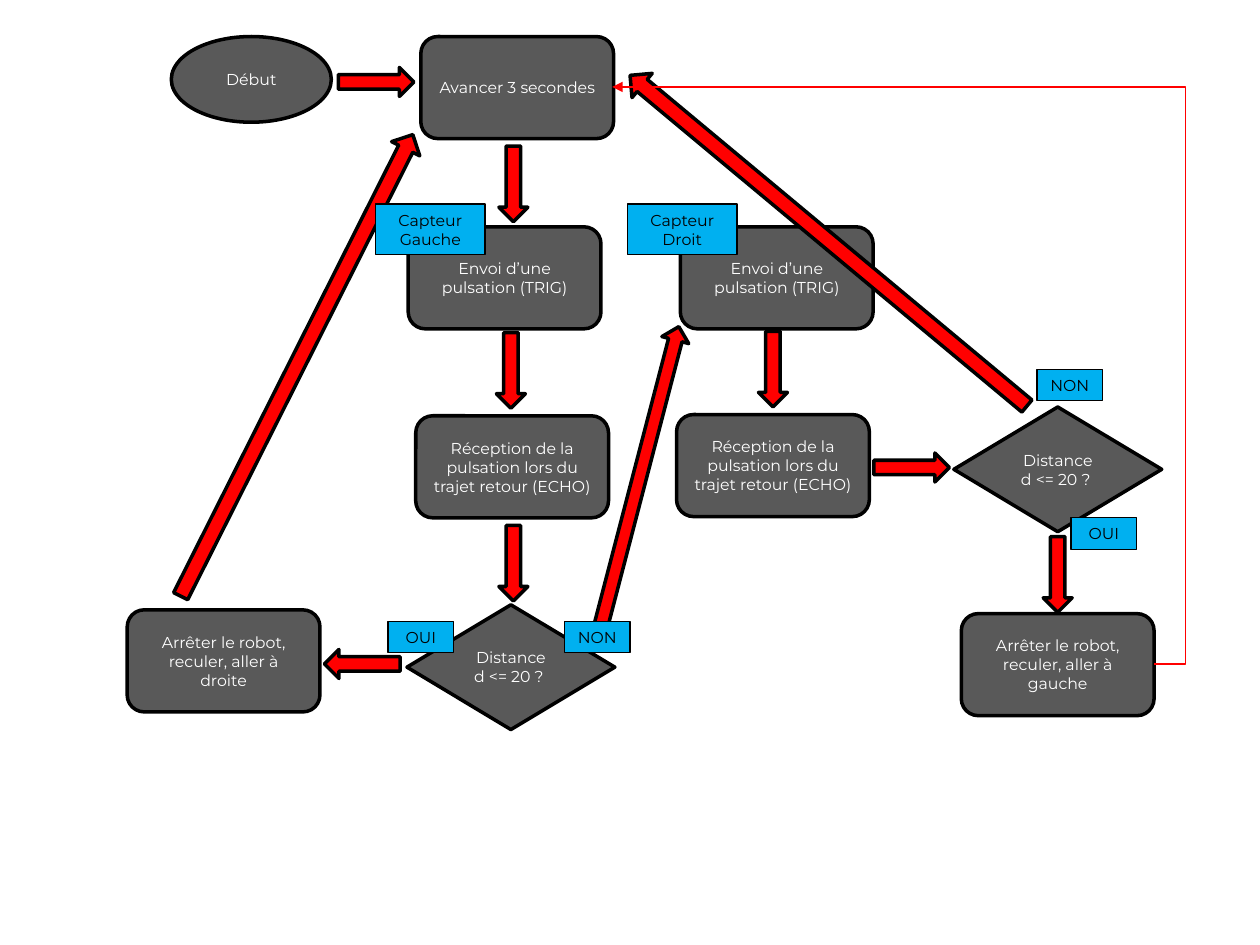
from lxml.etree import SubElement
from pptx import Presentation
from pptx.dml.color import RGBColor
from pptx.enum.shapes import MSO_CONNECTOR, MSO_SHAPE
from pptx.enum.text import MSO_ANCHOR, MSO_AUTO_SIZE, PP_ALIGN
from pptx.oxml.ns import qn
from pptx.util import Inches, Pt

COLORS = {"box": "595959", "arrow": "FF0000", "label": "00B0F0",
          "dark": "000000", "light": "FFFFFF"}


def rgb(name):
    return RGBColor.from_string(COLORS[name])


class Flowchart:
    font = {"name": "Montserrat", "size": Pt(9)}
    frame = {"word_wrap": True, "vertical_anchor": MSO_ANCHOR.MIDDLE}
    sizes = {MSO_SHAPE.OVAL: (1.27, 0.68), MSO_SHAPE.DIAMOND: (1.65, 0.99),
             MSO_SHAPE.ROUNDED_RECTANGLE: (1.53, 0.81)}

    def __init__(self, slide):
        self.s = slide

    def apply(self, target, values):
        for name, value in values.items():
            setattr(target, name, value)

    def shape(self, kind, x, y, w, h, fill, line=2):
        sp = self.s.shapes.add_shape(kind, Inches(x), Inches(y), Inches(w), Inches(h))
        sp.shadow.inherit = False
        sp.fill.solid()
        sp.fill.fore_color.rgb = rgb(fill)
        sp.line.color.rgb = rgb("dark")
        sp.line.width = Pt(line)
        return sp

    def caption(self, sp, text, color, fit=MSO_AUTO_SIZE.NONE):
        tf = sp.text_frame
        self.apply(tf, {**self.frame, "auto_size": fit})
        p = tf.paragraphs[0]
        p.alignment = PP_ALIGN.CENTER
        r = p.add_run()
        r.text = text
        self.apply(r.font, self.font)
        r.font.color.rgb = rgb(color)

    def step(self, text, x, y, kind=MSO_SHAPE.ROUNDED_RECTANGLE):
        sp = self.shape(kind, x, y, *self.sizes[kind], "box")
        self.caption(sp, text, "light")

    def arrow(self, x, y, turn=0, w=0.23, h=0.6):
        sp = self.shape(MSO_SHAPE.DOWN_ARROW, x, y, w, h, "arrow")
        sp.rotation = turn

    def label(self, text, x, y, w=0.52, h=0.25):
        sp = self.shape(MSO_SHAPE.RECTANGLE, x, y, w, h, "label", 0.75)
        self.caption(sp, text, "dark", MSO_AUTO_SIZE.SHAPE_TO_FIT_TEXT)

    def loop(self, start, end, bend):
        points = [Inches(v) for v in (*start, *end)]
        cx = self.s.shapes.add_connector(MSO_CONNECTOR.ELBOW, *points)
        cx.line.color.rgb = rgb("arrow")
        cx.line.width = Pt(0.75)
        props = cx._element.spPr
        guides = props.find(qn("a:prstGeom")).find(qn("a:avLst"))
        SubElement(guides, qn("a:gd"), name="adj1", fmla=f"val {bend}")
        SubElement(props.find(qn("a:ln")), qn("a:tailEnd"), type="triangle")
        SubElement(props, qn("a:effectLst"))


prs = Presentation()
prs.slide_width, prs.slide_height = Inches(10), Inches(7.5)
chart = Flowchart(prs.slides.add_slide(prs.slide_layouts[6]))

chart.step("Début", 1.36, 0.29, MSO_SHAPE.OVAL)
chart.step("Avancer 3 secondes", 3.34, 0.29)

branches = [
    ((3.24, 1.8), (3.3, 3.3), (3.23, 4.8), (1.01, 4.84), "droite"),
    ((5.4, 1.8), (5.37, 3.29), (7.57, 3.23), (7.63, 4.87), "gauche"),
]
for send, receive, test, stop, side in branches:
    chart.step("Envoi d’une pulsation (TRIG)", *send)
    chart.step("Réception de la pulsation lors du trajet retour (ECHO)", *receive)
    chart.step("Distance d <= 20 ? ", *test, MSO_SHAPE.DIAMOND)
    chart.step(f"Arrêter le robot, reculer, aller à {side}", *stop)

for x, y, turn in [(2.87, 0.35, 270), (3.96, 1.16, 0), (3.94, 2.64, 0),
                   (3.96, 4.17, 0), (2.76, 4.97, 90), (6.02, 2.63, 0),
                   (7.12, 3.41, 270), (8.28, 4.26, 0)]:
    chart.arrow(x, y, turn)
chart.arrow(2.23, 0.85, 206.7, 0.25, 4.1)
chart.arrow(4.95, 2.55, 194.6, 0.22, 2.6)
chart.arrow(6.45, -0.14, 129.8, 0.25, 4.1)

for text, x in [("Capteur Gauche", 2.98), ("Capteur Droit", 4.98)]:
    chart.label(text, x, 1.62, 0.87, 0.4)
for text, x, y in [("OUI", 3.08, 4.93), ("NON", 4.48, 4.93),
                   ("NON", 8.23, 2.93), ("OUI", 8.5, 4.11)]:
    chart.label(text, x, y)

chart.loop((9.16, 5.27), (4.86, 0.69), -5800)

prs.save("out.pptx")
